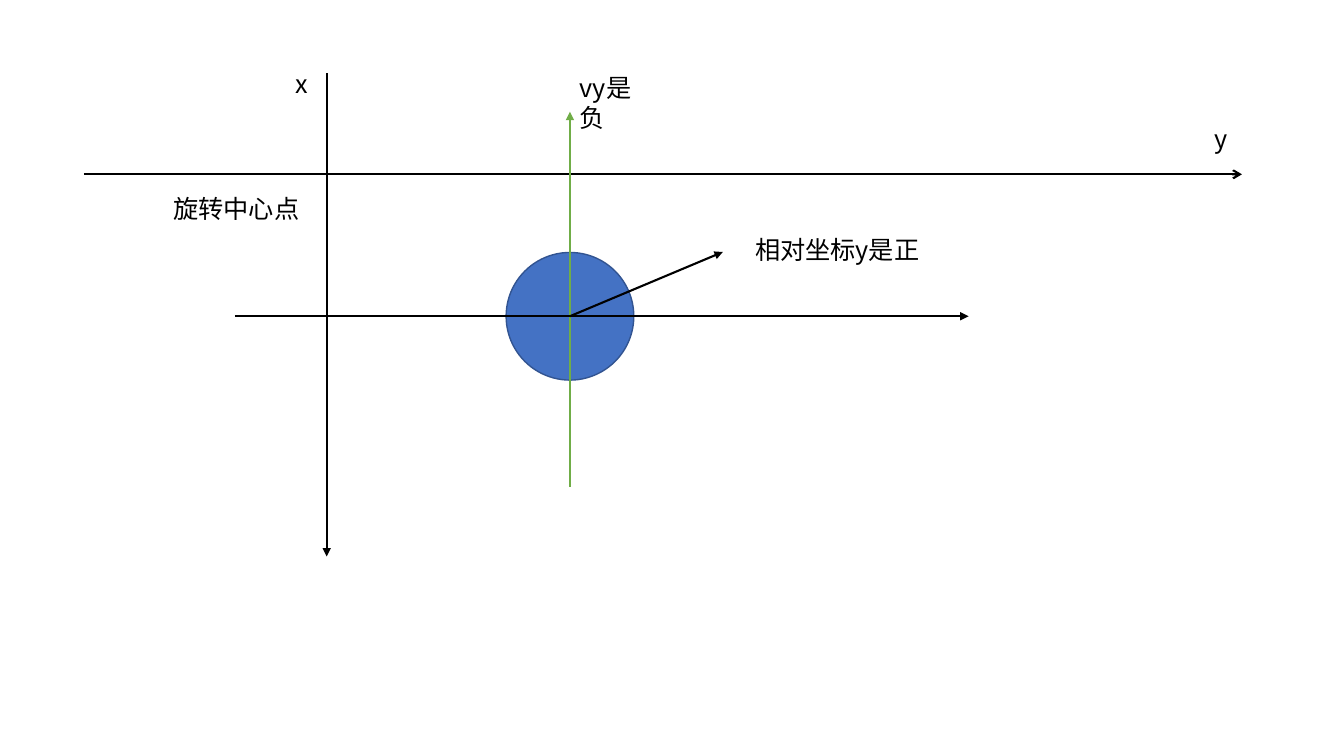
from lxml.etree import SubElement as add_node
from pptx import Presentation
from pptx.dml.color import RGBColor
from pptx.enum.shapes import MSO_CONNECTOR as Link, MSO_SHAPE as Form
from pptx.enum.text import MSO_AUTO_SIZE as Fit
from pptx.oxml.ns import qn
from pptx.util import Inches, Pt

WIDE, HIGH = Inches(13.33), Inches(7.5)
COLS, ROWS = 32, 18
FONT = "Noto Sans CJK SC"
BLACK, GREEN, BLUE, NAVY = "000000", "70AD47", "4472C4", "325491"
MID_X, MID_Y, RADIUS = 13.57, 7.53, 1.52
AXIS_X, AXIS_Y = 7.78, 4.15


def col(n):
    return round(WIDE * n / COLS)


def row(n):
    return round(HIGH * n / ROWS)


def tint(code):
    return RGBColor.from_string(code)


def arrow(slide, start, end, color=BLACK, head="triangle"):
    line = slide.shapes.add_connector(
        Link.STRAIGHT, col(start[0]), row(start[1]), col(end[0]), row(end[1]))
    line.line.color.rgb = tint(color)
    line.line.width = Pt(1.5)
    add_node(line.line._get_or_add_ln(), qn("a:tailEnd"), type=head)
    add_node(line._element.spPr, qn("a:effectLst"))


def disc(slide, x, y, r):
    ball = slide.shapes.add_shape(
        Form.OVAL, col(x - r), row(y - r), col(2 * r), row(2 * r))
    ball.shadow.inherit = False
    ball.fill.solid()
    ball.fill.fore_color.rgb = tint(BLUE)
    ball.line.color.rgb = tint(NAVY)
    ball.line.width = Pt(1)


def label(slide, text, x, y, width):
    box = slide.shapes.add_textbox(col(x), row(y), col(width), row(0.96))
    frame = box.text_frame
    frame.word_wrap = True
    frame.auto_size = Fit.SHAPE_TO_FIT_TEXT
    frame.text = text
    font = frame.paragraphs[0].runs[0].font
    font.size = Pt(18)
    font.name = FONT
    font.color.rgb = tint(BLACK)
    add_node(font._element, qn("a:ea"), typeface=FONT)


def main():
    deck = Presentation()
    deck.slide_width, deck.slide_height = WIDE, HIGH
    slide = deck.slides.add_slide(deck.slide_layouts[6])

    arrow(slide, (2, AXIS_Y), (29.57, AXIS_Y), head="arrow")
    disc(slide, MID_X, MID_Y, RADIUS)
    arrow(slide, (MID_X, 11.59), (MID_X, 2.66), GREEN)
    label(slide, "vy是负", MID_X, 1.61, 2.26)
    arrow(slide, (AXIS_X, 1.75), (AXIS_X, 13.25))
    arrow(slide, (5.59, MID_Y), (23.06, MID_Y))
    arrow(slide, (MID_X, MID_Y), (17.21, 6))
    label(slide, "相对坐标y是正", 17.74, 5.47, 4.39)
    label(slide, "旋转中心点", 3.89, 4.49, 3.5)
    label(slide, "y", 28.68, 2.83, 0.77)
    label(slide, "x", 6.79, 1.51, 0.74)

    deck.save("out.pptx")


if __name__ == "__main__":
    main()
